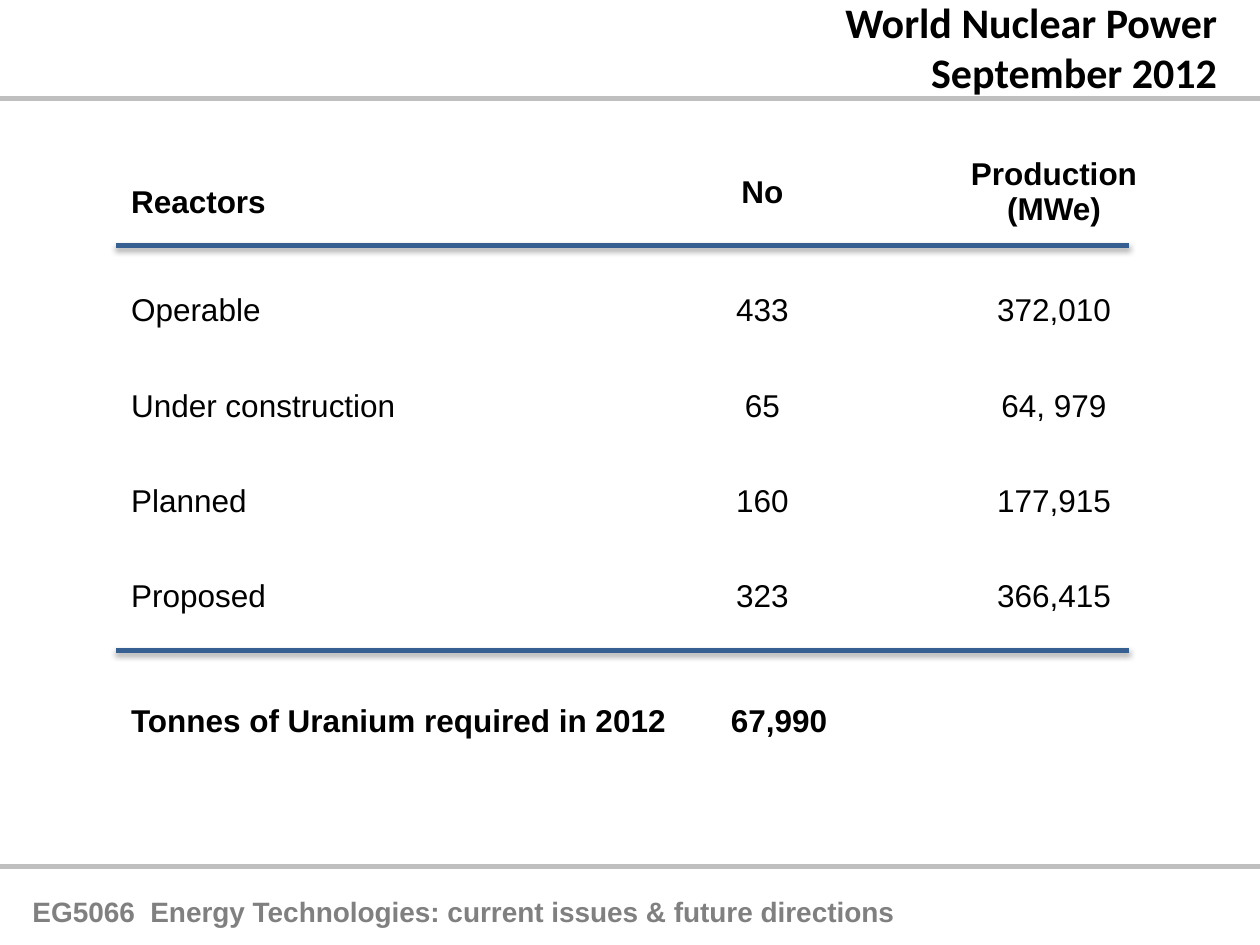
import pptx
import pptx.util
import pptx.oxml
import pptx.oxml.ns
import pptx.dml.color
import pptx.enum.text
import pptx.enum.shapes
from dataclasses import dataclass

Inch = pptx.util.Inches
Align = pptx.enum.text.PP_ALIGN
Anchor = pptx.enum.text.MSO_ANCHOR


@dataclass(frozen=True)
class Theme:
    ink: str = "000000"
    mute: str = "808080"
    gray: str = "BFBFBF"
    blue: str = "376092"
    head: str = "Calibri"
    body: str = "Arial"
    title: int = 24
    text: int = 18
    foot: int = 16
    rule: int = 3


THEME = Theme()

SHADE = (
    '<a:outerShdw blurRad="40000" dist="23000" dir="5400000" rotWithShape="0">'
    '<a:srgbClr val="000000"><a:alpha val="35000"/></a:srgbClr></a:outerShdw>'
)

ROWS = [
    ("Reactors", "No", "Production\n(MWe)"),
    ("Operable", "433", "372,010"),
    ("Under construction", "65", "64, 979"),
    ("Planned", "160", "177,915"),
    ("Proposed", "323", "366,415"),
    ("Tonnes of Uranium required in 2012", "67,990", ""),
]
COLS = [4.46, 1.3, 2.48]
HIGH = [0.92] + [0.757] * 4 + [1.22]


def apply(item, form):
    for key, val in form.items():
        setattr(item, key, val)


def write(frame, text, size, face, color, bold=False, align=Align.LEFT):
    frame.text = text
    for para in frame.paragraphs:
        para.alignment = align
        apply(para.font, {"size": pptx.util.Pt(size), "name": face, "bold": bold})
        para.font.color.rgb = pptx.dml.color.RGBColor.from_string(color)


def rule(slide, left, top, wide, color, shade=""):
    kind = pptx.enum.shapes.MSO_CONNECTOR.STRAIGHT
    line = slide.shapes.add_connector(
        kind, Inch(left), Inch(top), Inch(left + wide), Inch(top))
    line.line.width = pptx.util.Pt(THEME.rule)
    line.line.color.rgb = pptx.dml.color.RGBColor.from_string(color)
    space = pptx.oxml.ns.nsdecls("a")
    line._element.spPr.append(
        pptx.oxml.parse_xml(f"<a:effectLst {space}>{shade}</a:effectLst>"))


def header(slide, left, top, wide, high):
    # Title at the right, over a full-width rule
    title = slide.shapes.title
    apply(title, {"left": Inch(left + wide - 3.52), "top": Inch(top - 0.08),
                  "width": Inch(3.28), "height": Inch(0.91)})
    write(title.text_frame, "World Nuclear Power September 2012",
          THEME.title, THEME.head, THEME.ink, True, Align.RIGHT)
    apply(title.text_frame, {
        "word_wrap": True, "vertical_anchor": Anchor.TOP,
        "auto_size": pptx.enum.text.MSO_AUTO_SIZE.NONE})
    rule(slide, left, top + high, wide, THEME.gray)


def footer(slide, left, top, wide):
    # Course name under a full-width rule
    rule(slide, left, top, wide, THEME.gray)
    box = slide.shapes.add_textbox(
        Inch(left + 0.16), Inch(top + 0.17), Inch(7.13), Inch(0.37))
    box.text_frame.word_wrap = False
    write(box.text_frame,
          "EG5066  Energy Technologies: current issues & future directions",
          THEME.foot, THEME.body, THEME.mute, True)


def inset(row, col):
    # Cell margins: the header sits high, the last column sits right
    form = {"margin_left": 0.1 if col == 0 else 0, "margin_right": 0,
            "margin_top": 0, "margin_bottom": 0}
    if row == 0:
        form["margin_bottom"] = 0.04 if col == 0 else 0.21
    if col == 2:
        form["margin_left"] = 0.85
    if row == len(ROWS) - 1 and col == 1:
        form["margin_left"] = 0.4
    return {key: Inch(val) for key, val in form.items()}


def reactors(slide, left, top):
    # Table of reactor counts and output
    grid = slide.shapes.add_table(
        len(ROWS), len(COLS), Inch(left), Inch(top),
        Inch(sum(COLS)), Inch(sum(HIGH))).table
    apply(grid, {"first_row": False, "horz_banding": False})
    for col, wide in zip(grid.columns, COLS):
        col.width = Inch(wide)
    last = len(ROWS) - 1
    for r, texts in enumerate(ROWS):
        grid.rows[r].height = Inch(HIGH[r])
        for c, text in enumerate(texts):
            cell = grid.cell(r, c)
            cell.fill.background()
            apply(cell, {"vertical_anchor": Anchor.MIDDLE, **inset(r, c)})
            side = Align.LEFT if c == 0 or r == last else Align.CENTER
            write(cell.text_frame, text, THEME.text, THEME.body, THEME.ink,
                  r in (0, last), side)
    # Rules below the header and above the total
    for drop in (0.78, 3.99):
        rule(slide, left - 0.02, top + drop, 8.04, THEME.blue, SHADE)


def main():
    deck = pptx.Presentation()
    apply(deck, {"slide_width": Inch(10), "slide_height": Inch(7.5)})
    slide = deck.slides.add_slide(deck.slide_layouts[5])
    header(slide, 0, 0, 10, 0.78)
    reactors(slide, 0.94, 1.17)
    footer(slide, 0, 6.88, 10)
    deck.save("out.pptx")


if __name__ == "__main__":
    main()
